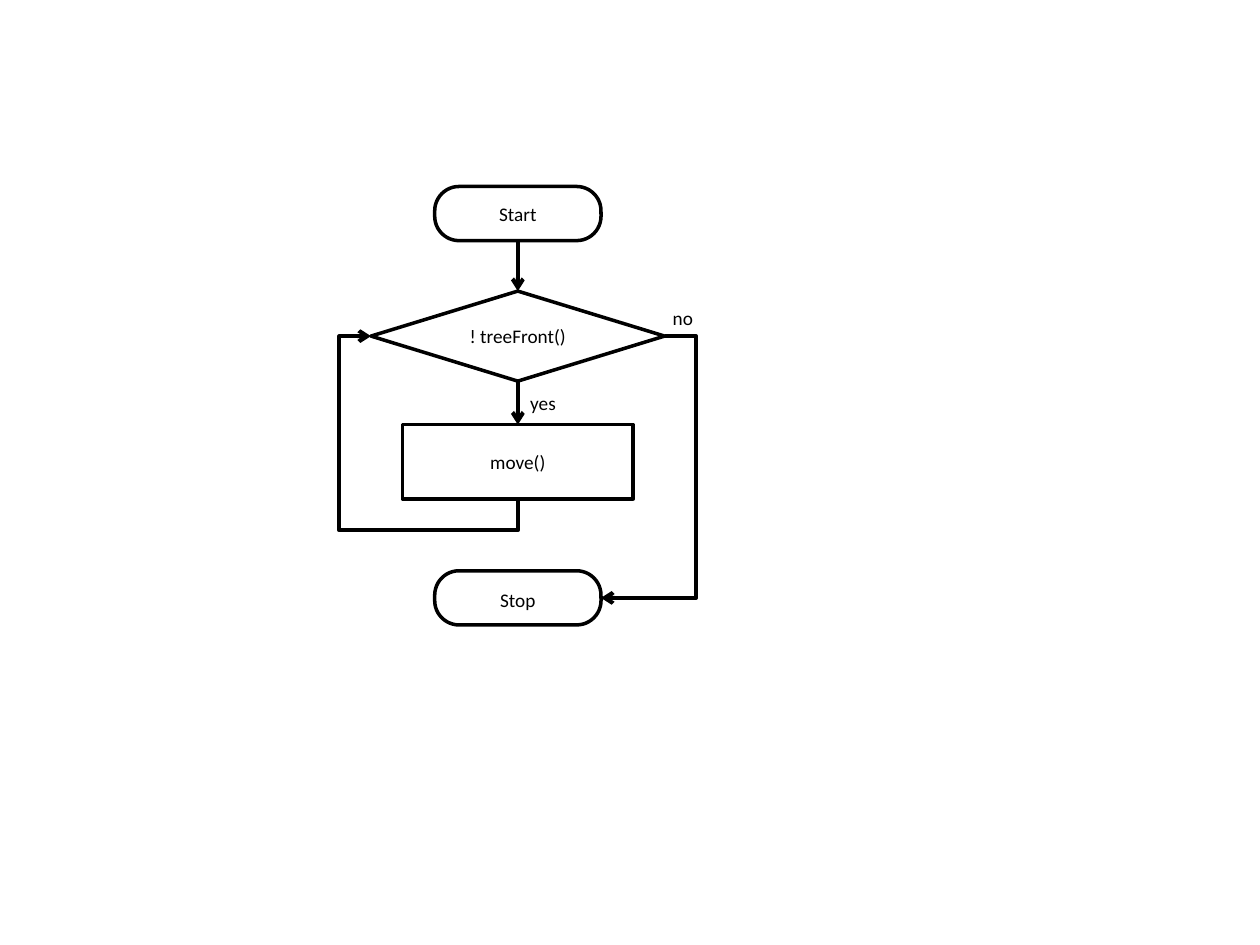
from lxml import etree
from pptx import Presentation
from pptx import util as u
from pptx.dml.color import RGBColor
from pptx.enum import shapes, text
from pptx.oxml.ns import qn

BLACK = RGBColor(0, 0, 0)
WHITE = RGBColor(255, 255, 255)
WIDTH, HEIGHT = u.Inches(10), u.Inches(7.5)
AXIS = 41.1  # centre line of the flow, percent of the slide's width
MARGIN = u.Inches(0.25)  # how far the side branches stand off
TOP, LEFT, BOTTOM, RIGHT = range(4)
KINDS = shapes.MSO_SHAPE


def across(percent):
    return round(WIDTH * percent / 100)


def down(percent):
    return round(HEIGHT * percent / 100)


def write(tf, words, align=None, spacing=None):
    tf.word_wrap = True
    p = tf.paragraphs[0]
    p.alignment = align
    p.line_spacing = spacing
    r = p.add_run()
    r.text = words
    r.font.name = "Calibri"
    r.font.size = u.Pt(11)
    r.font.color.rgb = BLACK


def add_node(s, kind, words, middle, width, height, spacing=None):
    """Add a flowchart box centred on the axis; lengths are percentages."""
    sp = s.shapes.add_shape(kind, across(AXIS - width / 2), down(middle - height / 2),
                            across(width), down(height))
    sp.shadow.inherit = False
    sp.fill.solid()
    sp.fill.fore_color.rgb = WHITE
    sp.line.color.rgb = BLACK
    sp.line.width = u.Pt(2)
    tf = sp.text_frame
    tf.vertical_anchor = text.MSO_ANCHOR.MIDDLE
    if kind == KINDS.ROUNDED_RECTANGLE:
        sp.adjustments[0] = 0.45
    if kind == KINDS.FLOWCHART_DECISION:
        tf.margin_left = tf.margin_top = tf.margin_right = tf.margin_bottom = 0
    write(tf, words, text.PP_ALIGN.CENTER, spacing)
    return sp


def add_label(s, words, left, top, spacing=None):
    box = s.shapes.add_textbox(across(left), down(top), across(5.2), down(4))
    write(box.text_frame, words, spacing=spacing)


def add_arrow(s, start, start_side, end, end_side, kind=shapes.MSO_CONNECTOR.STRAIGHT):
    c = s.shapes.add_connector(kind, 0, 0, 0, 0)
    c.begin_connect(start, start_side)
    c.end_connect(end, end_side)
    c.line.color.rgb = BLACK
    c.line.width = u.Pt(2.25)
    etree.SubElement(c.line._get_or_add_ln(), qn("a:tailEnd"), type="arrow")
    etree.SubElement(c._element.spPr, qn("a:effectLst"))
    return c


def set_bends(c, preset, *bends):
    geom = c._element.spPr.find(qn("a:prstGeom"))
    geom.set("prst", preset)
    guides = geom.find(qn("a:avLst"))
    if guides is None:
        guides = etree.SubElement(geom, qn("a:avLst"))
    for i, bend in enumerate(bends, 1):
        etree.SubElement(guides, qn("a:gd"), name=f"adj{i}",
                         fmla=f"val {round(bend * 100000)}")


def add_exit(s, start, end):
    """Lead from the right of one node round to the right of another."""
    c = add_arrow(s, start, RIGHT, end, RIGHT, shapes.MSO_CONNECTOR.ELBOW)
    set_bends(c, "bentConnector3", -MARGIN / c.width)


def add_loop(s, start, end):
    """Lead from the bottom of one node back up to the left of another."""
    c = add_arrow(s, start, BOTTOM, end, LEFT, shapes.MSO_CONNECTOR.ELBOW)
    wide, high = c.width, c.height
    mid_x, mid_y = c.left + wide // 2, c.top + high // 2
    # A quarter turn swaps the frame's width and height about its centre.
    c.left, c.top = mid_x - high // 2, mid_y - wide // 2
    c.width, c.height = high, wide
    xfrm = c._element.spPr.find(qn("a:xfrm"))
    xfrm.attrib.pop("flipV", None)
    xfrm.set("flipH", "1")
    xfrm.set("rot", "5400000")
    set_bends(c, "bentConnector4", -MARGIN / high, 1 + MARGIN / wide)


def main():
    prs = Presentation()
    prs.slide_width, prs.slide_height = WIDTH, HEIGHT
    s = prs.slides.add_slide(prs.slide_layouts[6])

    start = add_node(s, KINDS.ROUNDED_RECTANGLE, "Start", 22.6, 13.2, 5.73)
    test = add_node(s, KINDS.FLOWCHART_DECISION, "! treeFront()", 35.57, 23.3, 9.53)
    move = add_node(s, KINDS.RECTANGLE, "move()", 48.87, 18.3, 7.87)
    stop = add_node(s, KINDS.ROUNDED_RECTANGLE, "Stop", 63.27, 13.2, 5.73, spacing=1.2)

    add_arrow(s, start, BOTTOM, test, TOP)
    add_arrow(s, test, BOTTOM, move, TOP)
    add_exit(s, test, stop)
    add_loop(s, move, test)

    add_label(s, "no", 52.4, 31.73)
    add_label(s, "yes", AXIS, 40.27, spacing=1.2)
    prs.save("out.pptx")


if __name__ == "__main__":
    main()
